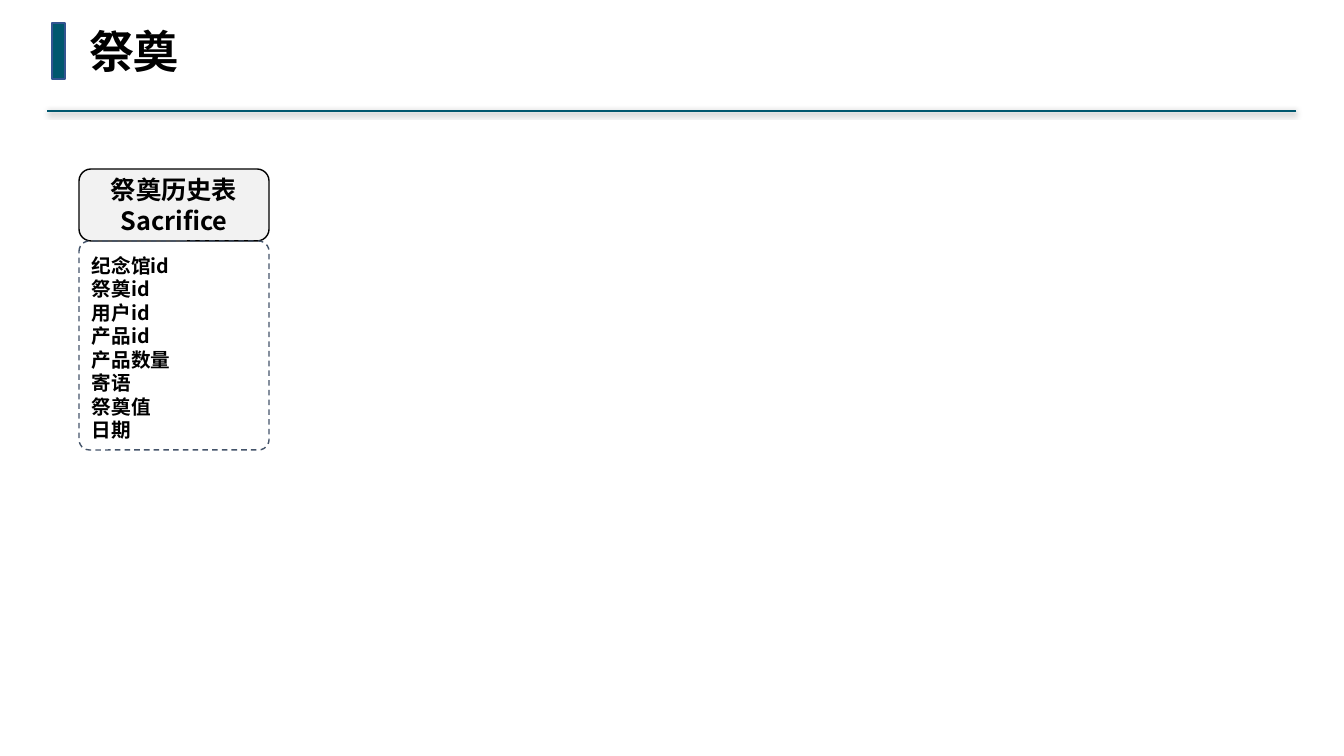
import pptx
import pptx.util
import pptx.dml.color
import pptx.enum.dml
import pptx.enum.shapes
import pptx.enum.text
import pptx.oxml
import pptx.oxml.ns

RGBColor = pptx.dml.color.RGBColor
TEAL = RGBColor(0x00, 0x57, 0x6E)
BLUE = RGBColor(0x32, 0x54, 0x91)
SLATE = RGBColor(0x44, 0x54, 0x6A)
LIGHT_GREY = RGBColor(0xF2, 0xF2, 0xF2)
BLACK = RGBColor(0x00, 0x00, 0x00)

TITLE = "祭奠"
ENTITY = ["祭奠历史表", "Sacrifice"]
FIELDS = ["纪念馆id", "祭奠id", "用户id", "产品id", "产品数量", "寄语", "祭奠值", "日期"]

TITLE_FONT = "DejaVu Sans Mono"
BODY_FONT = "Noto Sans CJK SC"
PIXEL = 914400 / 100.8
SHAPE = pptx.enum.shapes.MSO_SHAPE
ALIGN = pptx.enum.text.PP_ALIGN
ANCHOR = pptx.enum.text.MSO_ANCHOR

# Left, top, width and height in pixels
TITLE_BOX = (79, 19, 111, 65)
TITLE_BAR = (52, 23, 13, 56)
RULE_LEFT, RULE_RIGHT, RULE_TOP = 47, 1296, 111
TABLE_LEFT, TABLE_TOP, TABLE_WIDTH = 79, 169, 190
HEADER_HEIGHT, FIELDS_HEIGHT = 72, 209

SHADOW = (
    f'<a:effectLst {pptx.oxml.ns.nsdecls("a")}>'
    '<a:outerShdw blurRad="50800" dist="12700" dir="5400000" algn="t" rotWithShape="0">'
    '<a:srgbClr val="000000"><a:alpha val="40000"/></a:srgbClr>'
    '</a:outerShdw></a:effectLst>'
)


def emu(*pixels):
    """Turn pixel lengths into EMU."""
    return [round(pixel * PIXEL) for pixel in pixels]


def write(shape, lines, size, font_name, align, anchor, wrap):
    """Fill a shape with bold black paragraphs."""
    frame = shape.text_frame
    frame.text = "\n".join(lines)
    frame.auto_size = pptx.enum.text.MSO_AUTO_SIZE.NONE
    frame.word_wrap = wrap
    frame.vertical_anchor = anchor
    for paragraph in frame.paragraphs:
        paragraph.alignment = align
        font = paragraph.font
        font.name, font.size, font.bold = font_name, pptx.util.Pt(size), True
        font.color.rgb = BLACK


def add_box(slide, kind, box, fill, line):
    """Add a shape with a 1 pt outline and an optional fill."""
    shape = slide.shapes.add_shape(kind, *emu(*box))
    shape.shadow.inherit = False
    if fill is None:
        shape.fill.background()
    else:
        shape.fill.solid()
        shape.fill.fore_color.rgb = fill
    shape.line.color.rgb = line
    shape.line.width = pptx.util.Pt(1)
    return shape


def add_heading(slide):
    """Add the shadowed rule, the accent bar and the title."""
    rule = slide.shapes.add_connector(
        pptx.enum.shapes.MSO_CONNECTOR.STRAIGHT,
        *emu(RULE_RIGHT, RULE_TOP, RULE_LEFT, RULE_TOP))
    rule.line.color.rgb = TEAL
    rule.line.width = pptx.util.Pt(1.5)
    rule._element.spPr.append(pptx.oxml.parse_xml(SHADOW))
    add_box(slide, SHAPE.RECTANGLE, TITLE_BAR, TEAL, BLUE)
    title = slide.shapes.title
    title.left, title.top, title.width, title.height = emu(*TITLE_BOX)
    write(title, [TITLE], 32, TITLE_FONT, ALIGN.LEFT, ANCHOR.TOP, False)


def add_entity(slide):
    """Add the entity header with its field list directly below."""
    header = add_box(slide, SHAPE.ROUNDED_RECTANGLE,
                     (TABLE_LEFT, TABLE_TOP, TABLE_WIDTH, HEADER_HEIGHT), LIGHT_GREY, BLACK)
    write(header, ENTITY, 18, BODY_FONT, ALIGN.CENTER, ANCHOR.MIDDLE, False)
    frame = header.text_frame
    frame.margin_left = frame.margin_right = frame.margin_top = frame.margin_bottom = emu(4)[0]
    fields = add_box(slide, SHAPE.ROUNDED_RECTANGLE,
                     (TABLE_LEFT, TABLE_TOP + HEADER_HEIGHT, TABLE_WIDTH, FIELDS_HEIGHT),
                     None, SLATE)
    fields.adjustments[0] = 0.055
    fields.line.dash_style = pptx.enum.dml.MSO_LINE.DASH
    write(fields, FIELDS, 14, BODY_FONT, ALIGN.LEFT, ANCHOR.BOTTOM, True)


presentation = pptx.Presentation()
presentation.slide_width = pptx.util.Inches(13.33)
presentation.slide_height = pptx.util.Inches(7.5)
slide = presentation.slides.add_slide(presentation.slide_layouts[5])
add_heading(slide)
add_entity(slide)
presentation.save("out.pptx")
